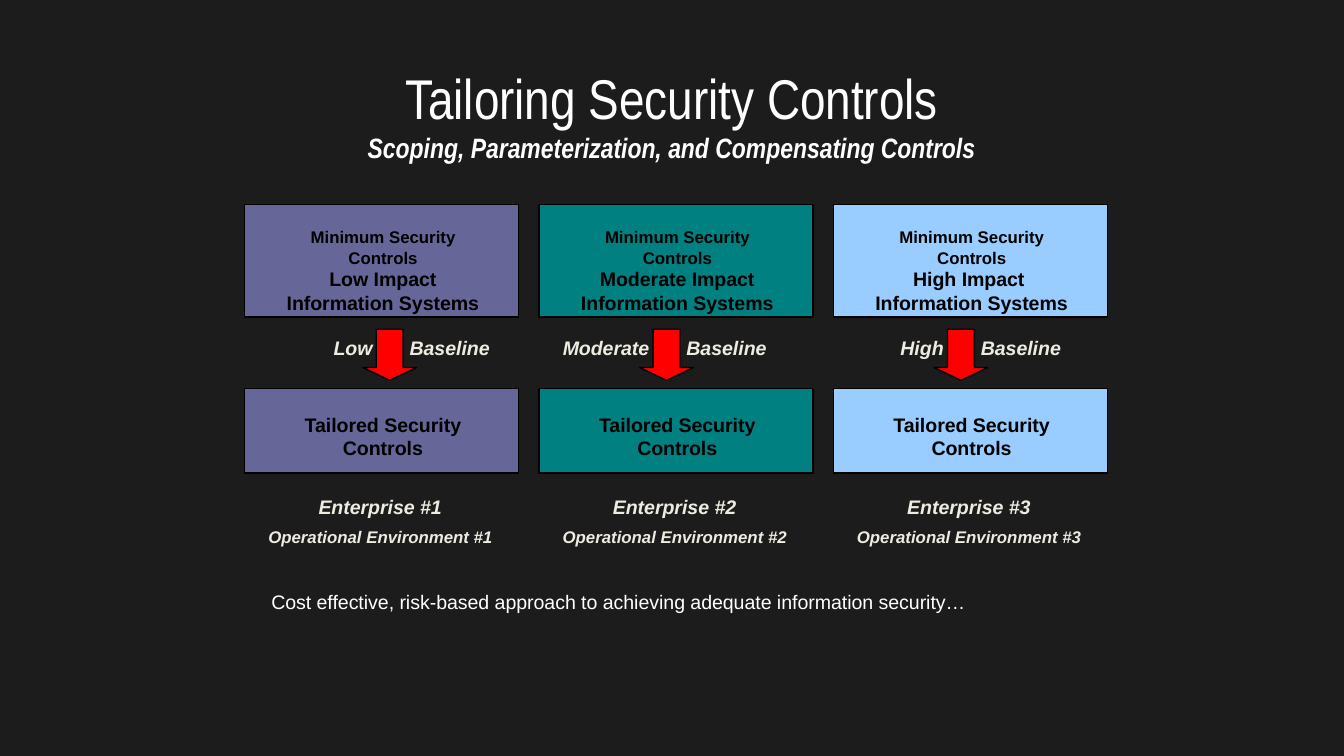
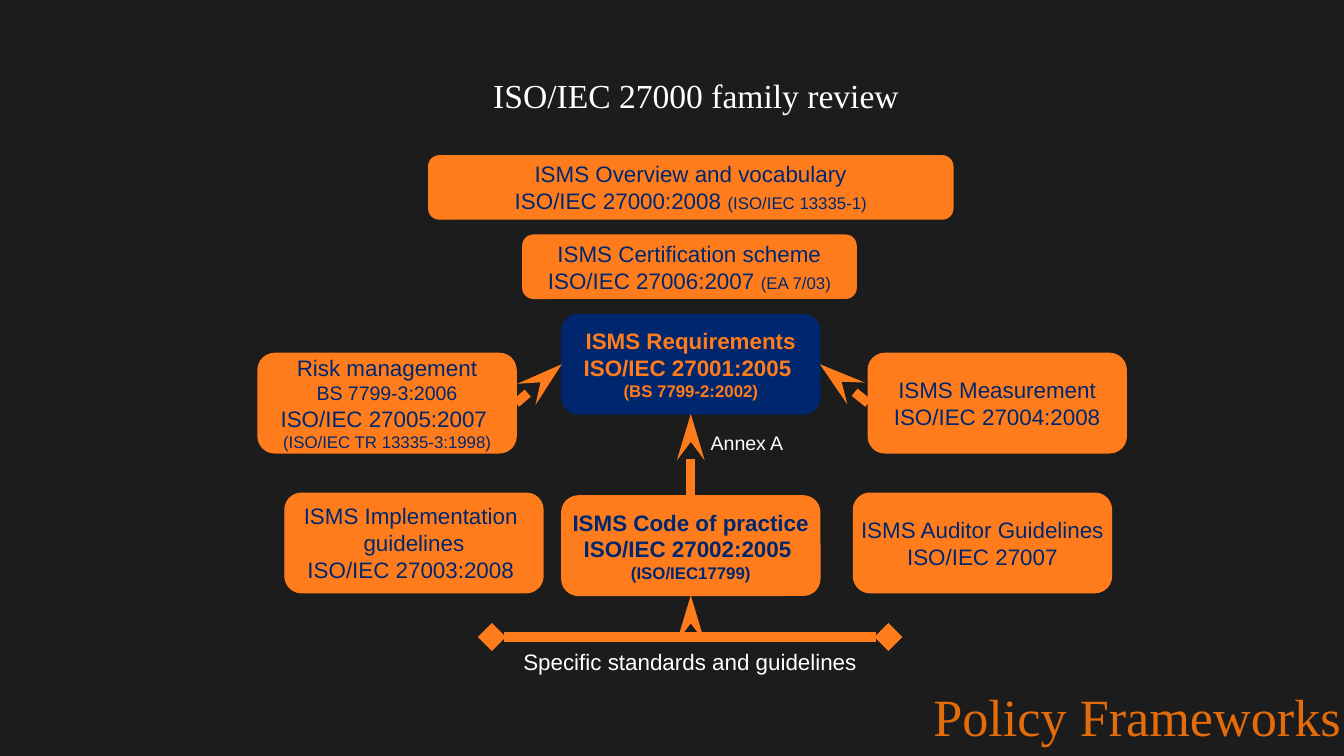
from lxml import etree
from pptx import Presentation
from pptx.dml.color import RGBColor
from pptx.enum.shapes import MSO_CONNECTOR, MSO_SHAPE
from pptx.enum.text import MSO_ANCHOR, PP_ALIGN
from pptx.oxml.ns import qn
from pptx.util import Inches, Pt

RECT = MSO_SHAPE.RECTANGLE
ROUND = MSO_SHAPE.ROUNDED_RECTANGLE
DOWN = MSO_SHAPE.DOWN_ARROW
STRAIGHT = MSO_CONNECTOR.STRAIGHT
TOP, MIDDLE = MSO_ANCHOR.TOP, MSO_ANCHOR.MIDDLE
LEFT, CENTER, RIGHT = PP_ALIGN.LEFT, PP_ALIGN.CENTER, PP_ALIGN.RIGHT

COLORS = {
    "background": "1C1C1C",
    "white": "FFFFFF",
    "black": "000000",
    "cream": "EEECE1",
    "low": "666699",
    "moderate": "008080",
    "high": "99CCFF",
    "red": "FF0000",
    "orange": "FF7C1C",
    "navy": "00276E",
    "section": "E46C0A",
}
SANS, NARROW, SERIF = "Arial", "Arial Narrow", "Times New Roman"


def rgb(name):
    return RGBColor.from_string(COLORS[name])


def add_slide(prs):
    slide = prs.slides.add_slide(prs.slide_layouts[6])
    slide.background.fill.solid()
    slide.background.fill.fore_color.rgb = rgb("background")
    return slide


def write(tf, paragraphs, color, font=SANS, bold=False, italic=False,
          align=CENTER, space=0):
    for i, runs in enumerate(paragraphs):
        p = tf.paragraphs[0] if i == 0 else tf.add_paragraph()
        p.alignment = align
        if i and space:
            p.space_before = Pt(space)
        base = runs[0][1]
        p.font.name = font
        p.font.size = Pt(base)
        p.font.bold = bold
        p.font.italic = italic
        p.font.color.rgb = rgb(color)
        for text, size, *emphasis in runs:
            for j, line in enumerate(text.split("\n")):
                if j:
                    p.add_line_break()
                if not line:
                    continue
                r = p.add_run()
                r.text = line
                if size != base:
                    r.font.size = Pt(size)
                if emphasis:
                    r.font.bold = r.font.italic = True


def add_text(slide, box, paragraphs, color, anchor=TOP, **style):
    tf = slide.shapes.add_textbox(*map(Inches, box)).text_frame
    tf.word_wrap = True
    tf.vertical_anchor = anchor
    write(tf, paragraphs, color, **style)


def add_title(slide, box, runs, font):
    add_text(slide, box, [runs], "white", MIDDLE, font=font)


def add_box(slide, kind, box, fill, line):
    sp = slide.shapes.add_shape(kind, *map(Inches, box))
    sp.shadow.inherit = False
    sp.fill.solid()
    sp.fill.fore_color.rgb = rgb(fill)
    sp.line.color.rgb = rgb(line)
    sp.line.width = Pt(0.75)
    return sp


def add_standard(slide, box, paragraphs, fill="orange", color="navy", bold=False):
    sp = add_box(slide, ROUND, box, fill, fill)
    tf = sp.text_frame
    tf.word_wrap = False
    tf.vertical_anchor = MIDDLE
    write(tf, paragraphs, color, bold=bold)


def add_link(slide, start, end, tail, length, head=None):
    cx = slide.shapes.add_connector(STRAIGHT, *map(Inches, start + end))
    cx.line.color.rgb = rgb("orange")
    cx.line.width = Pt(5)
    ln = cx.line._get_or_add_ln()
    for tag, kind in (("a:headEnd", head), ("a:tailEnd", tail)):
        if kind:
            etree.SubElement(ln, qn(tag), type=kind, w="med", len=length)
    etree.SubElement(cx._element.spPr, qn("a:effectLst"))


def add_impact_column(slide, index, level, fill, arrow_center, system_lines):
    x = 1.82 + 2.19 * index
    add_box(slide, RECT, (x, 1.52, 2.04, 0.84), fill, "black")
    add_text(slide, (x + 0.13, 1.64, 1.8, 0.76),
             [[("Minimum Security Controls", 9)]]
             + [[(line, 10.5)] for line in system_lines], "black", bold=True)
    add_box(slide, RECT, (x, 2.89, 2.04, 0.63), fill, "black")
    add_text(slide, (x + 0.13, 3.02, 1.8, 0.45),
             [[("Tailored Security Controls", 10.5)]], "black", bold=True)
    add_box(slide, DOWN, (arrow_center - 0.2, 2.45, 0.4, 0.38), "red",
            "black").adjustments[1] = 0.25
    for text, left, width, align in (
            (level, arrow_center - 1.08, 1.05, RIGHT),
            ("Baseline", arrow_center + 0.05, 0.9, LEFT)):
        add_text(slide, (left, 2.45, width, 0.28), [[(text, 10.5)]], "cream",
                 bold=True, italic=True, align=align)
    add_text(slide, (x - 0.02, 3.63, 2.06, 0.51),
             [[(f"Enterprise #{index + 1}", 10.5)],
              [(f"Operational Environment #{index + 1}", 9)]],
             "cream", bold=True, italic=True, space=4.5)


def build_tailoring(prs):
    slide = add_slide(prs)
    add_title(slide, (1.81, 0.38, 6.38, 0.94),
              [("Tailoring Security Controls\n", 30),
               ("Scoping, Parameterization, and Compensating Controls", 15, True)],
              NARROW)
    columns = [
        ("Low", "low", 2.9, ["Low Impact", "Information Systems"]),
        ("Moderate", "moderate", 4.96, ["Moderate Impact Information Systems"]),
        ("High", "high", 7.15, ["High Impact ", "Information Systems"]),
    ]
    for i, column in enumerate(columns):
        add_impact_column(slide, i, *column)
    add_text(slide, (1.92, 4.34, 6.32, 0.28),
             [[("Cost effective, risk-based approach to achieving adequate "
                "information security…", 10.5)]], "white", align=LEFT)


def build_iso_family(prs):
    slide = add_slide(prs)
    add_title(slide, (2.21, 0.29, 5.94, 0.84),
              [("ISO/IEC 27000 family review", 18)], SERIF)

    w, h = 1.92, 0.74
    add_standard(slide, (3.19, 1.16, 3.9, 0.47),
                 [[("ISMS Overview and vocabulary", 12)],
                  [("ISO/IEC 27000:2008 ", 12), ("(ISO/IEC 13335-1)", 9)]])
    add_standard(slide, (6.46, 2.63, w, h),
                 [[("ISMS Measurement\nISO/IEC 27004:2008", 12)]])
    add_standard(slide, (1.92, 2.63, w, h),
                 [[("Risk management\n", 12), ("BS 7799-3:2006", 10.5)],
                  [("ISO/IEC 27005:2007 ", 12)],
                  [("(ISO/IEC TR 13335-3:1998)", 9)]])
    add_standard(slide, (4.18, 2.34, w, h),
                 [[("ISMS Requirements\nISO/IEC 27001:2005 ", 12)],
                  [("(BS 7799-2:2002)", 9)]], "navy", "orange", True)
    add_standard(slide, (4.18, 3.69, w, h),
                 [[("ISMS Code of practice\nISO/IEC 27002:2005 ", 12)],
                  [("(ISO/IEC17799)", 9)]], bold=True)
    add_standard(slide, (2.12, 3.67, w, h),
                 [[("ISMS Implementation \nguidelines\nISO/IEC 27003:2008 ", 12)]])
    add_standard(slide, (6.35, 3.67, w, h),
                 [[("ISMS Auditor Guidelines", 12)], [("ISO/IEC 27007", 12)]])

    for start, end in (((3.84, 3), (4.18, 2.71)),
                       ((5.14, 3.69), (5.14, 3.08)),
                       ((6.46, 3), (6.1, 2.71)),
                       ((5.14, 4.75), (5.14, 4.43))):
        add_link(slide, start, end, "stealth", "lg")
    add_link(slide, (3.66, 4.74), (6.61, 4.74), "diamond", "med", "diamond")

    add_text(slide, (3.54, 4.77, 3.19, 0.3),
             [[("Specific standards and guidelines", 12)]], "white")
    add_text(slide, (5.19, 3.16, 0.77, 0.28), [[("Annex A", 10.5)]], "white",
             align=LEFT)
    add_standard(slide, (3.89, 1.75, 2.48, 0.47),
                 [[("ISMS Certification scheme\nISO/IEC 27006:2007 ", 12),
                   ("(EA 7/03)", 9)]])
    add_text(slide, (6.67, 5.04, 3.58, 0.57), [[("Policy Frameworks", 28)]],
             "section", font=SERIF)


def main():
    prs = Presentation()
    prs.slide_width = Inches(10)
    prs.slide_height = Inches(10 * 9 / 16)
    build_tailoring(prs)
    build_iso_family(prs)
    prs.save("out.pptx")


if __name__ == "__main__":
    main()
